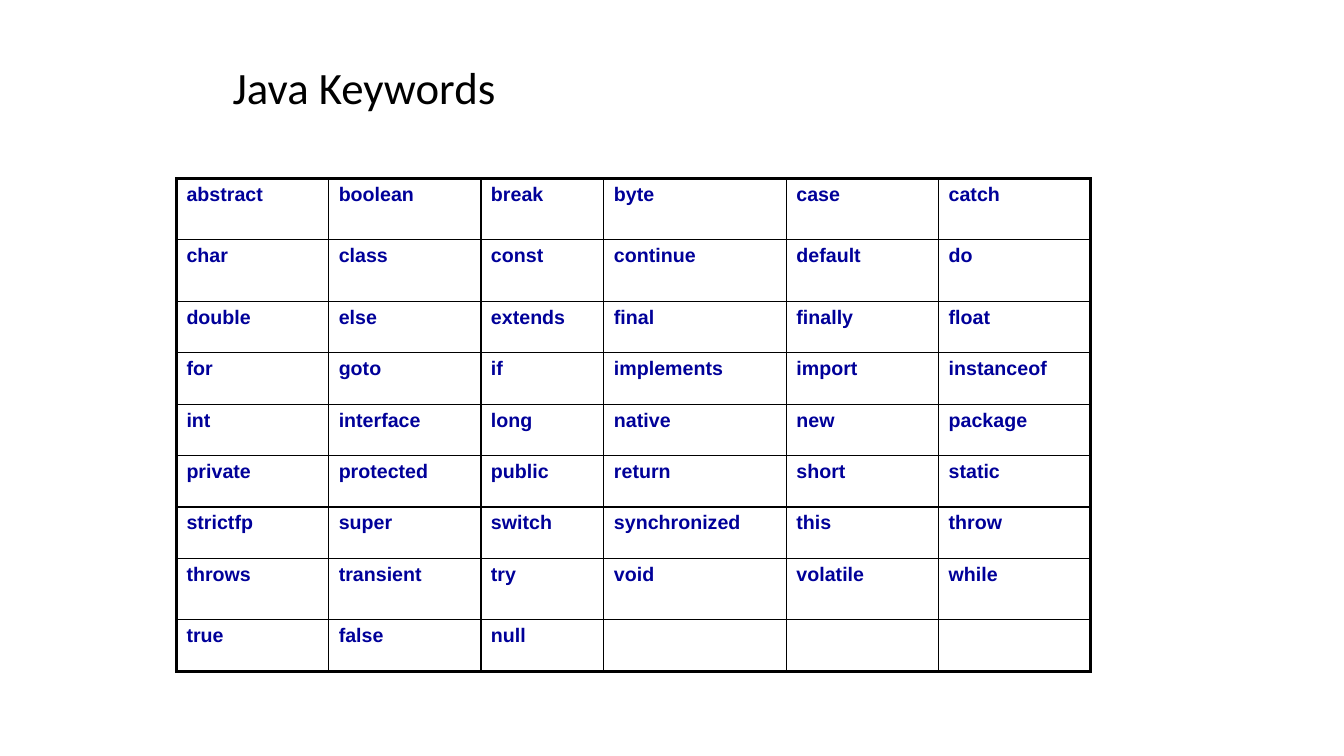
import pptx
import pptx.util
import pptx.dml.color
import pptx.enum.text
import pptx.oxml.ns
import lxml.etree

TITLE = "Java Keywords"
WORDS = [
    "abstract boolean break byte case catch",
    "char class const continue default do",
    "double else extends final finally float",
    "for goto if implements import instanceof",
    "int interface long native new package",
    "private protected public return short static",
    "strictfp super switch synchronized this throw",
    "throws transient try void volatile while",
    "true false null",
]
WIDE, TALL = 13.33, 7.5
COL, ROW = 1.51, 0.51
COLS = [COL, COL, 1.22, 1.81, COL, COL]
HIGH = {0, 1, 7}
ROWS = [ROW + 0.1 * (i in HIGH) for i in range(len(WORDS))]
LEFT, TOP = 1.75, 1.77
THIN, THICK = 1, 2.25

BLACK = pptx.dml.color.RGBColor(0, 0, 0)
NAVY = pptx.dml.color.RGBColor(0, 0, 0x99)
HEAD = {"name": "Calibri", "size": pptx.util.Pt(32), "bold": False}
BODY = {"name": "Arial", "size": pptx.util.Pt(14), "bold": True}

inch = pptx.util.Inches
qn = pptx.oxml.ns.qn


def style(font, look, color):
    for key, value in look.items():
        setattr(font, key, value)
    font.color.rgb = color


def border(cell, edges):
    props = cell._tc.get_or_add_tcPr()
    for side, outer in edges.items():
        width = pptx.util.Pt(THICK if outer else THIN)
        line = lxml.etree.SubElement(props, qn("a:ln" + side), w=str(width))
        fill = lxml.etree.SubElement(line, qn("a:solidFill"))
        lxml.etree.SubElement(fill, qn("a:srgbClr"), val=str(BLACK))


deck = pptx.Presentation()
deck.slide_width, deck.slide_height = inch(WIDE), inch(TALL)
slide = deck.slides.add_slide(deck.slide_layouts[6])

box = slide.shapes.add_textbox(inch(2.21), inch(0.56), inch(8.67), inch(0.67))
frame = box.text_frame
frame.word_wrap = True
frame.vertical_anchor = pptx.enum.text.MSO_ANCHOR.MIDDLE
para = frame.paragraphs[0]
para.line_spacing = 0.9
run = para.add_run()
run.text = TITLE
style(run.font, HEAD, BLACK)

table = slide.shapes.add_table(
    len(ROWS), len(COLS), inch(LEFT), inch(TOP), inch(sum(COLS)), inch(sum(ROWS))
).table
table.first_row = table.horz_banding = False
for col, width in zip(table.columns, COLS):
    col.width = inch(width)
for row, height in zip(table.rows, ROWS):
    row.height = inch(height)

for r, line in enumerate(WORDS):
    for c in range(len(COLS)):
        border(table.cell(r, c), {
            "L": c == 0, "R": c == len(COLS) - 1,
            "T": r == 0, "B": r == len(ROWS) - 1,
        })
        table.cell(r, c).fill.background()
    for c, word in enumerate(line.split()):
        run = table.cell(r, c).text_frame.paragraphs[0].add_run()
        run.text = word
        style(run.font, BODY, NAVY)

deck.save("out.pptx")
